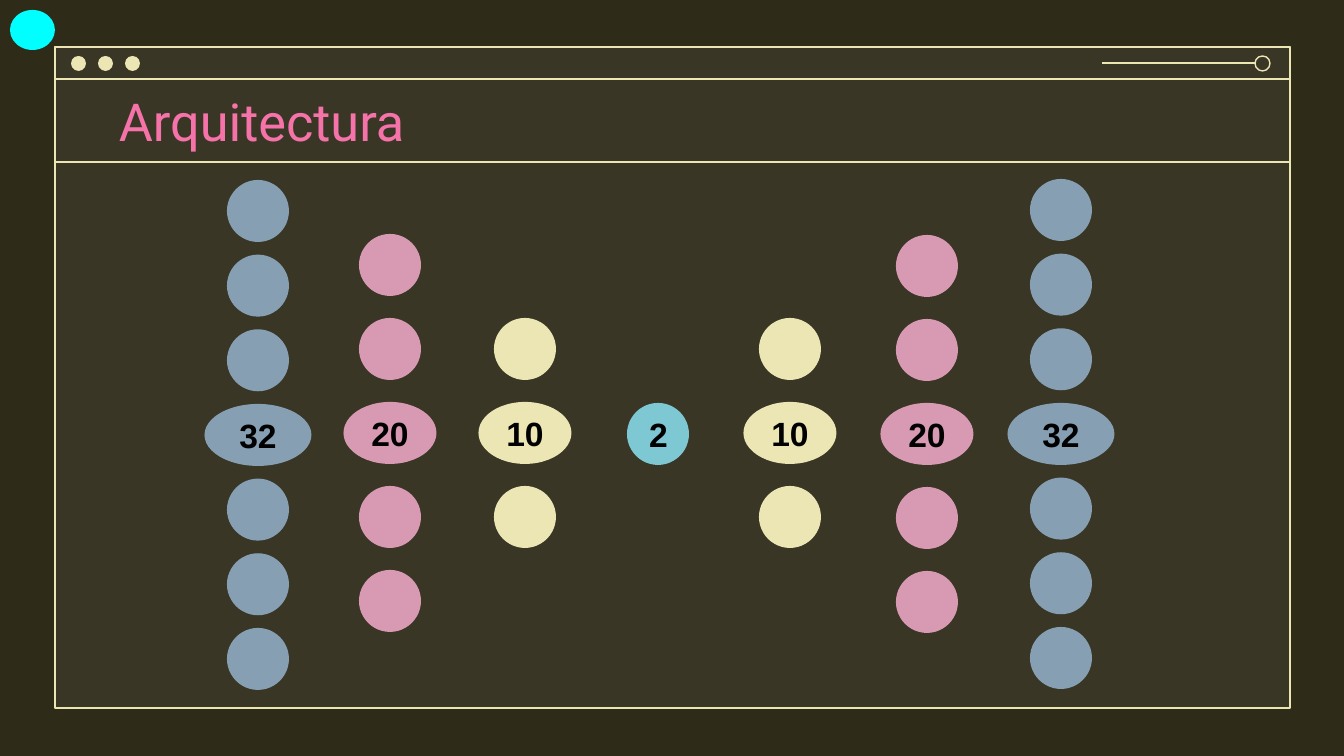
from dataclasses import dataclass

from lxml.etree import SubElement
from pptx import Presentation
from pptx.dml.color import RGBColor
from pptx.enum.shapes import MSO_CONNECTOR, MSO_SHAPE
from pptx.enum.text import MSO_ANCHOR, PP_ALIGN
from pptx.oxml.ns import qn
from pptx.util import Emu, Pt

NODE = 62


@dataclass(frozen=True)
class Theme:
    background: str = "2F2B19"
    panel: str = "7C7C7C"
    cream: str = "ECE5B4"
    title: str = "F673A9"
    blue: str = "869FB2"
    pink: str = "D899B3"
    teal: str = "7EC8D4"
    cyan: str = "00FFFF"
    ink: str = "000000"
    title_size: int = 28
    label_size: int = 18
    line_width: float = 0.75
    title_font: str = "Roboto"
    label_font: str = "Arial"


def px(n):
    return Emu(round(n * 914400 / 134.4))


def rgb(c):
    return RGBColor.from_string(c)


class SlideKit:
    def __init__(self, s, theme):
        self.s = s
        self.theme = theme
        s.background.fill.solid()
        s.background.fill.fore_color.rgb = rgb(theme.background)

    def shape(self, kind, x, y, w, h, fill=None, line=None, alpha=None):
        sp = self.s.shapes.add_shape(kind, px(x), px(y), px(w), px(h))
        sp.shadow.inherit = False
        if fill:
            sp.fill.solid()
            sp.fill.fore_color.rgb = rgb(fill)
        else:
            sp.fill.background()
        if alpha:
            color = sp._element.spPr.find(qn("a:solidFill"))[0]
            SubElement(color, qn("a:alpha"), val=str(alpha * 1000))
        if line:
            sp.line.color.rgb = rgb(line)
            sp.line.width = Pt(self.theme.line_width)
        else:
            sp.line.fill.background()
        return sp

    def rule(self, x1, x2, y):
        c = self.s.shapes.add_connector(
            MSO_CONNECTOR.STRAIGHT, px(x1), px(y), px(x2), px(y))
        c.line.color.rgb = rgb(self.theme.cream)
        c.line.width = Pt(self.theme.line_width)
        SubElement(c._element.spPr, qn("a:effectLst"))

    def text(self, sp, text, color, align=PP_ALIGN.LEFT, **font):
        tf = sp.text_frame
        frame = {"word_wrap": True, "vertical_anchor": MSO_ANCHOR.MIDDLE}
        for side in ("left", "right", "top", "bottom"):
            frame[f"margin_{side}"] = px(13)
        for name, value in frame.items():
            setattr(tf, name, value)
        p = tf.paragraphs[0]
        p.alignment = align
        r = p.add_run()
        r.text = text
        for name, value in font.items():
            setattr(r.font, name, value)
        r.font.color.rgb = rgb(color)

    def title(self, x, y, w, h, text):
        box = self.s.shapes.add_textbox(px(x), px(y), px(w), px(h))
        self.text(box, text, self.theme.title, name=self.theme.title_font,
                  size=Pt(self.theme.title_size))

    def neuron(self, cx, cy, w, color):
        return self.shape(MSO_SHAPE.FLOWCHART_CONNECTOR, cx - w / 2,
                          cy - NODE / 2, w, NODE, color)

    def layer(self, cx, cy, label, width, color, per_side, reach):
        for k in range(-per_side, per_side + 1):
            if k:
                self.neuron(cx, cy + k * reach / per_side, NODE, color)
        align = PP_ALIGN.CENTER if per_side else PP_ALIGN.LEFT
        self.text(self.neuron(cx, cy, width, color), label, self.theme.ink,
                  align, name=self.theme.label_font,
                  size=Pt(self.theme.label_size), bold=True)


def main():
    prs = Presentation()
    prs.slide_width, prs.slide_height = px(1344), px(756)
    t = Theme()
    kit = SlideKit(prs.slides.add_slide(prs.slide_layouts[6]), t)

    kit.shape(MSO_SHAPE.RECTANGLE, 55, 48, 1234, 661, t.panel, alpha=14)
    for height in (661, 32):
        kit.shape(MSO_SHAPE.RECTANGLE, 55, 47, 1235, height, line=t.cream)
    for i in range(3):
        kit.shape(MSO_SHAPE.OVAL, 71 + 27 * i, 56, 15, 15, t.cream)
    kit.shape(MSO_SHAPE.OVAL, 1255, 56, 15, 15, line=t.cream)
    kit.rule(1102, 1255, 63)
    kit.rule(55, 1289, 162)
    kit.title(106, 79, 1133, 83, "Arquitectura")

    blue = ("32", 107, t.blue, 3, 224)
    pink = ("20", 93, t.pink, 2, 168)
    cream = ("10", 93, t.cream, 1, 84)
    code = ("2", NODE, t.teal, 0, 0)
    layers = [
        (258, 435, blue), (390, 433, pink), (525, 433, cream),
        (658, 434, code),
        (790, 433, cream), (927, 434, pink), (1061, 434, blue),
    ]
    for cx, cy, kind in layers:
        kit.layer(cx, cy, *kind)

    kit.shape(MSO_SHAPE.OVAL, 10, 10, 45, 40, t.cyan)
    prs.save("out.pptx")


if __name__ == "__main__":
    main()
